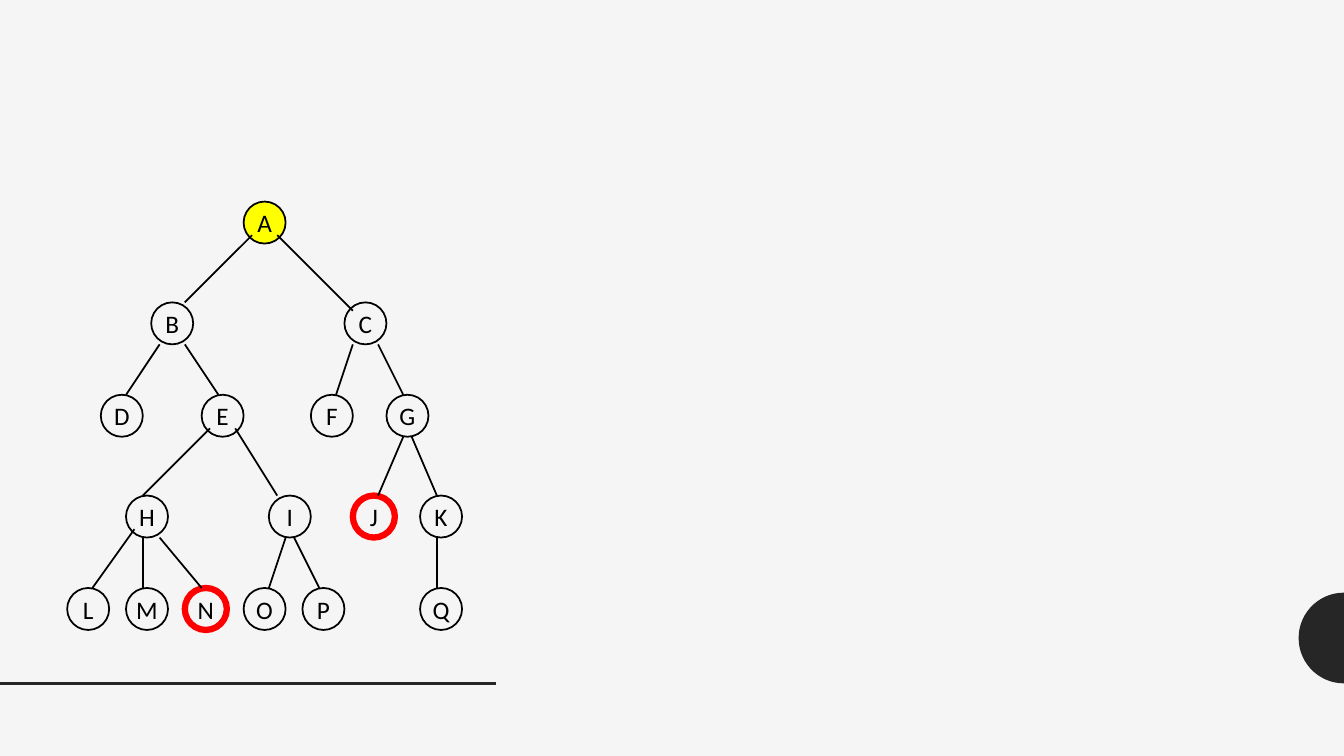
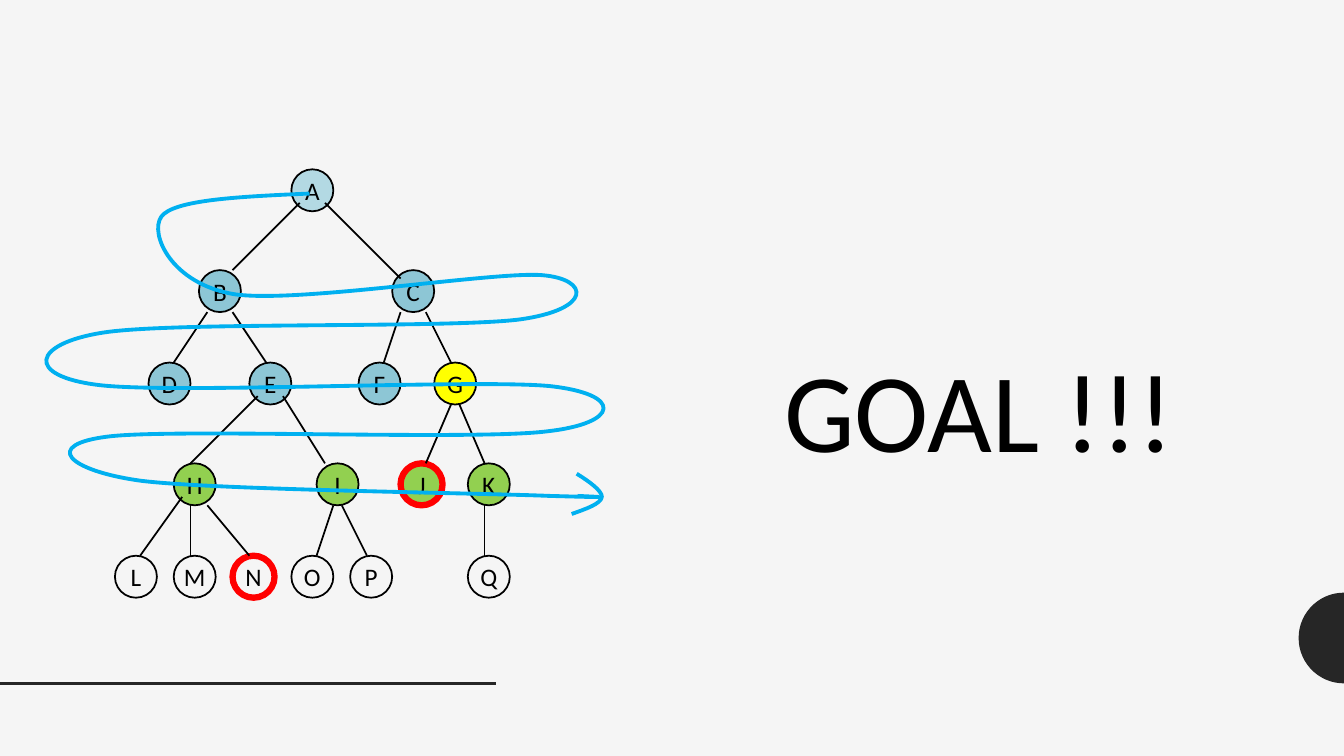
import math

from lxml import etree
from pptx import Presentation
from pptx.dml.color import RGBColor
from pptx.enum import shapes, text
from pptx.oxml import ns
from pptx.util import Inches, Pt

PAPER = RGBColor(0xF5, 0xF5, 0xF5)
CHARCOAL = RGBColor(0x26, 0x26, 0x26)
BLACK = RGBColor(0, 0, 0)
RED = RGBColor(0xFF, 0, 0)
YELLOW = RGBColor(0xFF, 0xFF, 0)
PALE_BLUE = RGBColor(0xB3, 0xD9, 0xE3)
BLUE = RGBColor(0x8D, 0xC6, 0xD5)
GREEN = RGBColor(0x92, 0xD0, 0x50)
TRAIL_BLUE = RGBColor(0, 0xB0, 0xF0)

FONT = "Calibri"
PAGE_WIDTH, PAGE_HEIGHT = 13.33, 7.5
RULE_TOP, RULE_WIDTH = 6.78, 4.92

GRID = 1 / 12
NODE_SIZE = 5
TREE_LEVELS = {
    0: {"A": 21},
    12: {"B": 10, "C": 33},
    23: {"D": 4, "E": 16, "F": 29, "G": 38},
    35: {"H": 7, "I": 24, "J": 34, "K": 42},
    46: {"L": 0, "M": 7, "N": 14, "O": 21, "P": 28, "Q": 42},
}
NODES = {name: (x, y) for y, level in TREE_LEVELS.items() for name, x in level.items()}
GOALS = "JN"
EDGES = {
    "AB": ((1, 4), (4, 0)),
    "AC": ((4, 4), (1, 1)),
    "BD": ((1, 5), (3, 0)),
    "BE": ((4, 5), (2, 0)),
    "CF": ((1, 5), (3, 0)),
    "CG": ((4, 5), (2, 0)),
    "EH": ((1, 4), (2, 0)),
    "EI": ((4, 4), (1, 0)),
    "GJ": ((2, 5), (3, 0)),
    "GK": ((3, 5), (2, 0)),
    "HL": ((1, 4), (3, 0)),
    "HM": ((2, 5), (2, 0)),
    "HN": ((4, 5), (2, 0)),
    "IO": ((2, 5), (3, 0)),
    "IP": ((3, 5), (2, 0)),
    "KQ": ((2, 5), (2, 0)),
}

TRAIL = [
    (2.61, 0), (1.93, 0.03), (1.26, 0.06), (1.14, 0.23),
    (1.02, 0.4), (1.24, 0.9), (1.87, 1),
    (2.5, 1.09), (4.45, 0.77), (4.92, 0.81),
    (5.39, 0.85), (5.42, 1.15), (4.69, 1.25),
    (3.96, 1.34), (1.25, 1.27), (0.56, 1.38),
    (-0.14, 1.49), (-0.22, 1.81), (0.52, 1.9),
    (1.26, 1.99), (4.25, 1.84), (4.99, 1.91),
    (5.73, 1.99), (5.69, 2.28), (4.96, 2.36),
    (4.23, 2.45), (1.29, 2.33), (0.62, 2.41),
    (-0.05, 2.49), (0.21, 2.75), (0.94, 2.85),
    (1.67, 2.94), (4.27, 2.97), (4.99, 3),
    (5.71, 3.02), (5.49, 3.01), (5.27, 3),
]
TRAIL_TIP = [
    (0.05, 0), (0.18, 0.08), (0.3, 0.17), (0.3, 0.23),
    (0.29, 0.3), (0.14, 0.35), (0, 0.4),
]


def style_run(para, size):
    for span in para.runs:
        span.font.name = FONT
        span.font.size = Pt(size)
        span.font.color.rgb = BLACK


def add_line(parent, start, end, color, width):
    line = parent.shapes.add_connector(
        shapes.MSO_CONNECTOR.STRAIGHT, *(Inches(value) for value in (*start, *end)))
    line.line.color.rgb = color
    line.line.width = Pt(width)
    etree.SubElement(line.element.spPr, ns.qn("a:effectLst"))


def add_outline(page, points, closed):
    corners = [(Inches(x), Inches(y)) for x, y in points]
    builder = page.shapes.build_freeform(*corners[0])
    builder.add_line_segments(corners[1:], close=closed)
    outline = builder.convert_to_shape()
    outline.shadow.inherit = False
    return outline


def add_curve(page, left, top, width, height, controls):
    curve = add_outline(page, [(left, top), (left + width, top + height)], closed=False)
    track = curve.element.find(".//" + ns.qn("a:path"))
    for segment in list(track):
        track.remove(segment)
    segments = [("a:moveTo", controls[:1])]
    segments += [("a:cubicBezTo", controls[k:k + 3]) for k in range(1, len(controls), 3)]
    for tag, points in segments:
        segment = etree.SubElement(track, ns.qn(tag))
        for x, y in points:
            etree.SubElement(segment, ns.qn("a:pt"), x=str(Inches(x)), y=str(Inches(y)))
    curve.fill.background()
    curve.line.color.rgb = TRAIL_BLUE
    curve.line.width = Pt(2.75)


def add_frame(page):
    radius = 0.45
    center_y = RULE_TOP - radius
    angles = [math.radians(90 + 6 * step) for step in range(31)]
    half_disc = add_outline(
        page,
        [(PAGE_WIDTH + radius * math.cos(a), center_y + radius * math.sin(a)) for a in angles],
        closed=True)
    half_disc.fill.solid()
    half_disc.fill.fore_color.rgb = CHARCOAL
    half_disc.line.fill.background()
    add_line(page, (0, RULE_TOP), (RULE_WIDTH, RULE_TOP), CHARCOAL, 2)


def add_node(tree, name, left, top, color):
    size = Inches(NODE_SIZE * GRID)
    node = tree.shapes.add_shape(
        shapes.MSO_SHAPE.OVAL, Inches(left), Inches(top), size, size)
    node.shadow.inherit = False
    if color is None:
        node.fill.background()
    else:
        node.fill.solid()
        node.fill.fore_color.rgb = color
    is_goal = name in GOALS
    node.line.color.rgb = RED if is_goal else BLACK
    node.line.width = Pt(4.5 if is_goal else 1.25)
    frame = node.text_frame
    frame.text = name
    frame.word_wrap = False
    frame.vertical_anchor = text.MSO_ANCHOR.MIDDLE
    para = frame.paragraphs[0]
    para.alignment = text.PP_ALIGN.CENTER
    style_run(para, 18)


def add_tree(page, left, top, colors):
    tree = page.shapes.add_group_shape()

    def place(name, offset=(0, 0)):
        x, y = NODES[name]
        return left + (x + offset[0]) * GRID, top + (y + offset[1]) * GRID

    for name in NODES:
        add_node(tree, name, *place(name), colors.get(name))
    for (parent, child), (leave, arrive) in EDGES.items():
        add_line(tree, place(parent, leave), place(child, arrive), BLACK, 1.25)


def add_trail(page, left, top):
    add_curve(page, left, top, 5.52, 3.01, TRAIL)
    add_curve(page, left + 5.21, top + 2.78, 0.3, 0.4, TRAIL_TIP)


def add_message(page, left, top, width, height, message):
    box = page.shapes.add_textbox(*(Inches(value) for value in (left, top, width, height)))
    frame = box.text_frame
    frame.text = message
    frame.word_wrap = False
    frame.auto_size = text.MSO_AUTO_SIZE.SHAPE_TO_FIT_TEXT
    style_run(frame.paragraphs[0], 80)


def add_page(deck):
    page = deck.slides.add_slide(deck.slide_layouts.get_by_name("Blank"))
    add_frame(page)
    return page


def add_start_page(deck):
    page = add_page(deck)
    add_tree(page, 8 * GRID, 24 * GRID, {"A": YELLOW})


def add_goal_page(deck):
    page = add_page(deck)
    colors = {"A": PALE_BLUE, "G": YELLOW}
    colors.update(dict.fromkeys("BCDEF", BLUE))
    colors.update(dict.fromkeys("HIJK", GREEN))
    add_tree(page, 1.14, 1.68, colors)
    add_message(page, 7.68, 3.33, 4.11, 1.45, "GOAL !!!")
    add_trail(page, 0.46, 1.92)


def main():
    deck = Presentation()
    deck.slide_width = Inches(PAGE_WIDTH)
    deck.slide_height = Inches(PAGE_HEIGHT)
    background = deck.slide_master.background.fill
    background.solid()
    background.fore_color.rgb = PAPER
    add_start_page(deck)
    add_goal_page(deck)
    deck.save("out.pptx")


if __name__ == "__main__":
    main()
